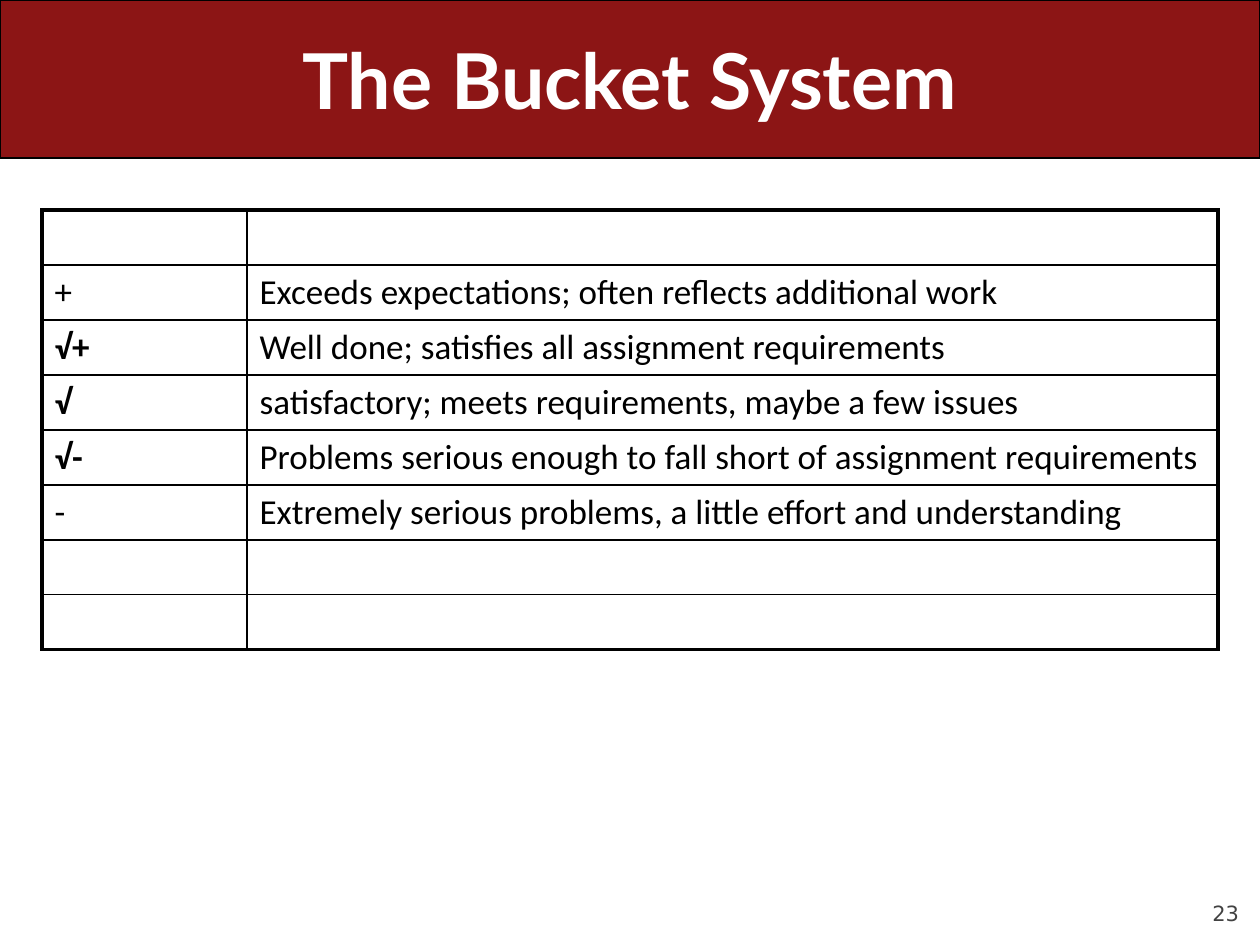
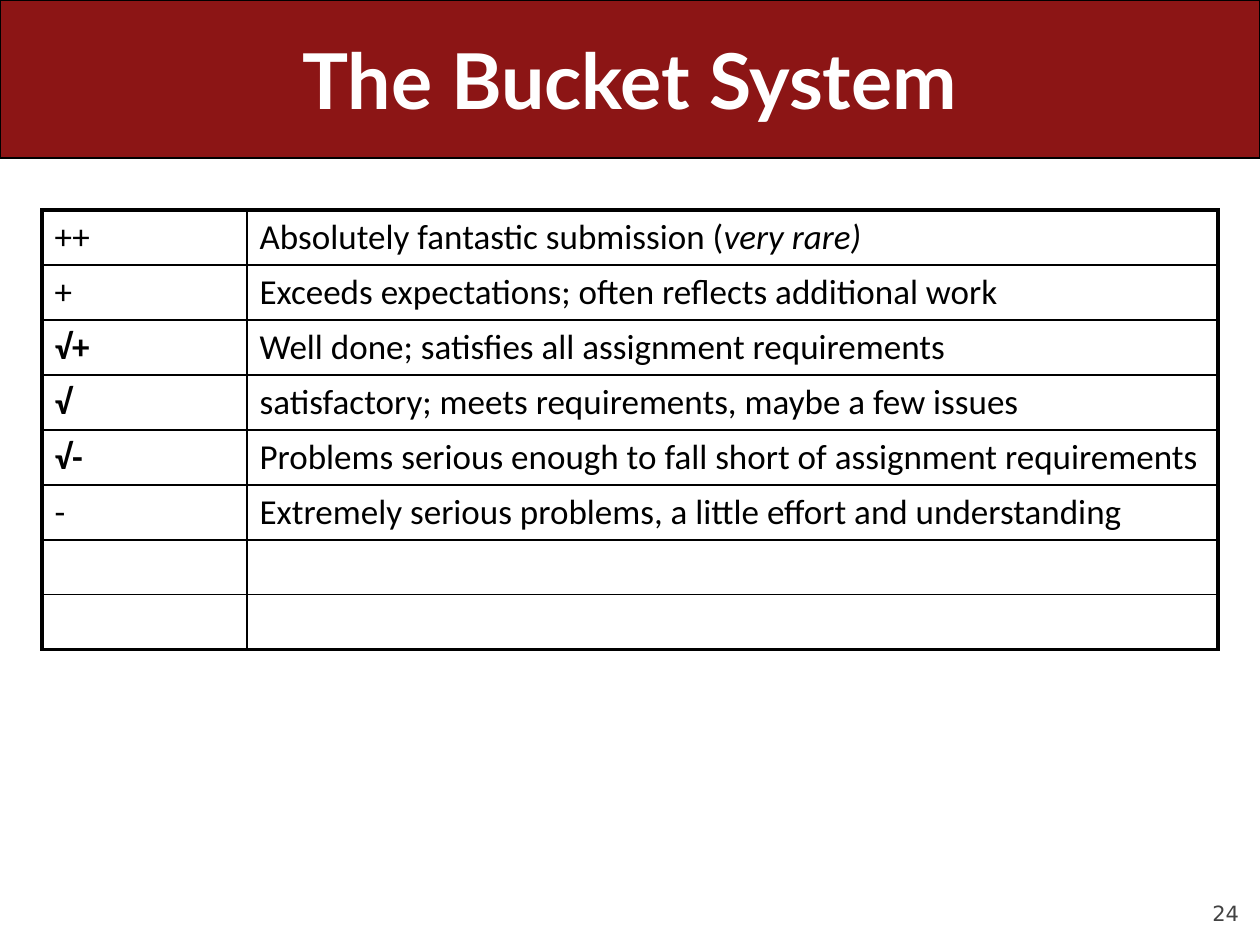
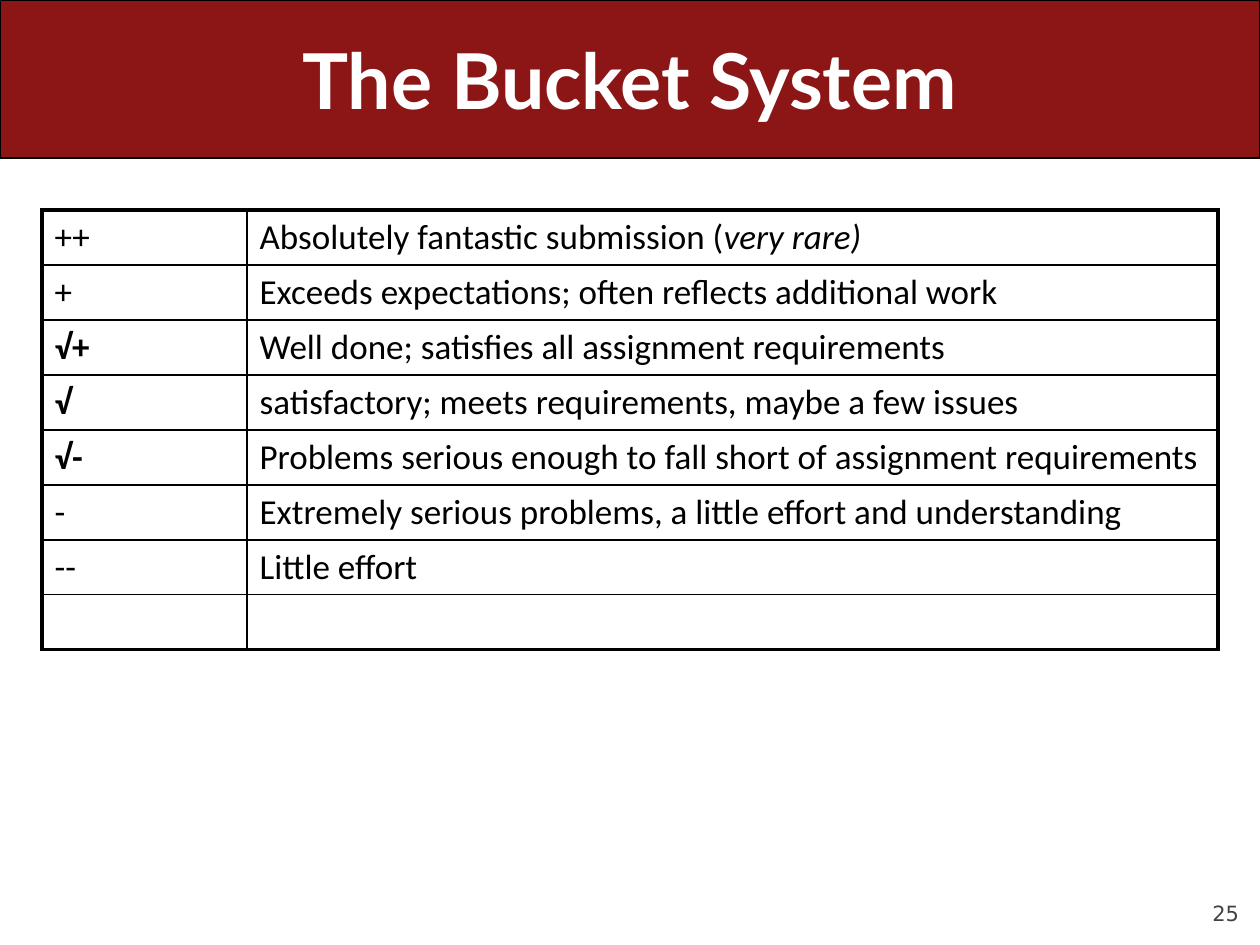
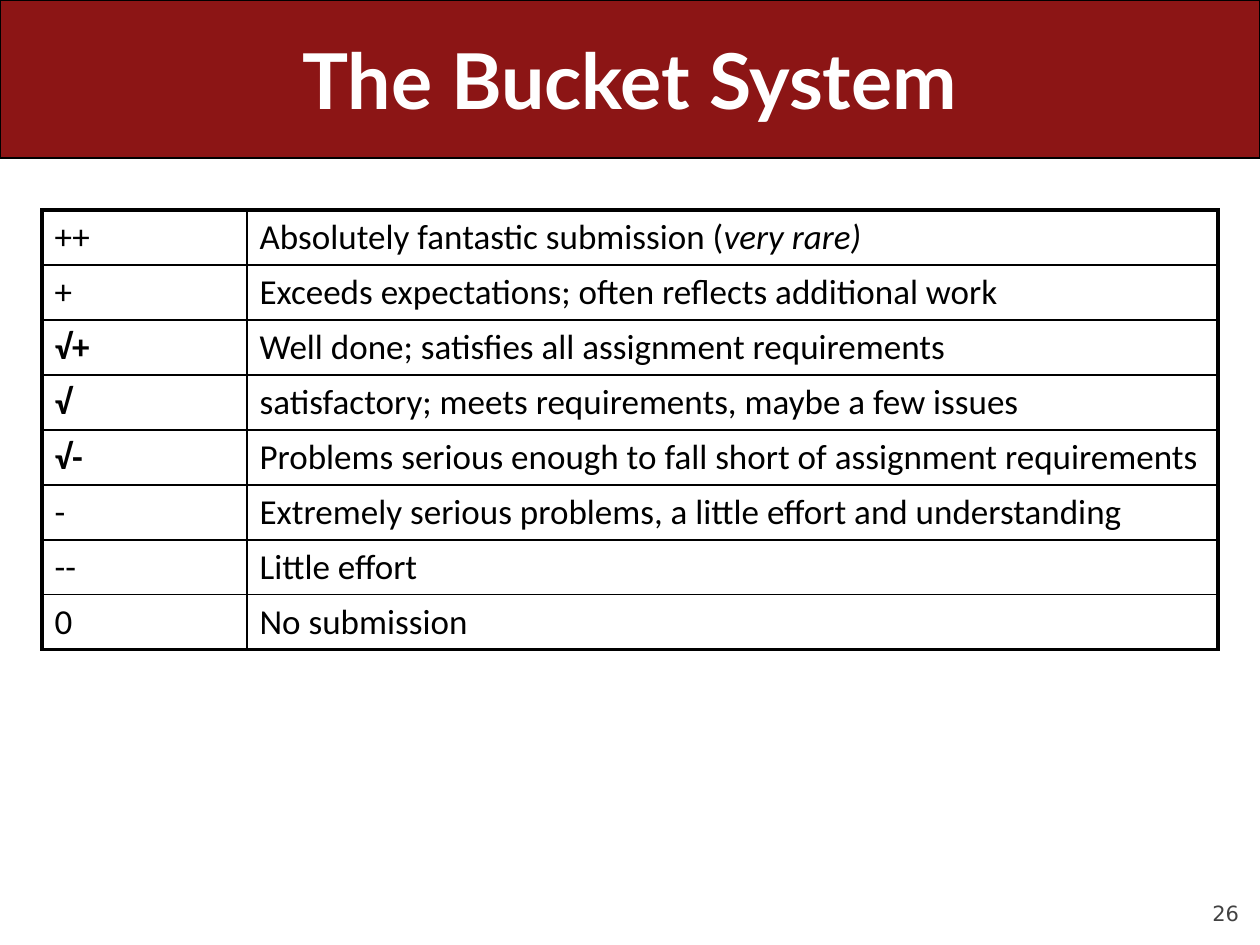
from dataclasses import dataclass

from lxml.etree import SubElement
from pptx import Presentation
from pptx.dml.color import RGBColor
from pptx.enum.shapes import MSO_SHAPE
from pptx.enum.text import MSO_ANCHOR, PP_ALIGN
from pptx.oxml import parse_xml
from pptx.oxml.ns import nsdecls, qn
from pptx.util import Emu, Pt


@dataclass(frozen=True)
class Theme:
    red: str = "8C1515"
    white: str = "FFFFFF"
    black: str = "000000"
    gray: str = "424242"
    head: str = "Lato"
    body: str = "Calibri"
    foot: str = "DejaVu Sans"
    head_pt: int = 44
    body_pt: int = 20
    foot_pt: int = 12
    band_ln: float = 0.75
    thin: float = 1
    thick: float = 2.25


THEME = Theme()
DPI = 126
WIDE, HIGH = 1260, 945

# Page regions: left, top, width, height
BAND = (0, 0, WIDE, 158)
TITLE = (63, 0, 1134, 158)
FOOT = (1134, 876, 105, 50)
GRID = (42, 210, 1176, 440)
MARK_W = 205

# Mark, meaning, and the italic tail of the meaning
BUCKETS = [
    ("++", "Absolutely fantastic submission (", "very rare)"),
    ("+", "Exceeds expectations; often reflects additional work", ""),
    ("√+", "Well done; satisfies all assignment requirements", ""),
    ("√", "satisfactory; meets requirements, maybe a few issues", ""),
    ("√-", "Problems serious enough to fall short of assignment requirements", ""),
    ("-", "Extremely serious problems, a little effort and understanding", ""),
    ("--", "Little effort", ""),
    ("0", "No submission", ""),
]

# Page number, first and last bucket shown
PAGES = [(23, 1, 5), (24, 0, 5), (25, 0, 6), (26, 0, 7)]


def px(count):
    return Emu(round(count * 914400 / DPI))


def place(box):
    return [px(side) for side in box]


def style(run, face, size, color, bold=False, italic=False):
    font = run.font
    font.name, font.size = face, Pt(size)
    font.bold, font.italic = bold, italic
    font.color.rgb = RGBColor.from_string(color)


def add_label(slide, box, text, align, anchor, *look):
    frame = slide.shapes.add_textbox(*place(box)).text_frame
    frame.word_wrap = True
    frame.vertical_anchor = anchor
    frame.text = text
    para = frame.paragraphs[0]
    para.alignment = align
    style(para.runs[0], *look)
    return frame


def add_head(slide, text):
    # Band
    band = slide.shapes.add_shape(MSO_SHAPE.ROUNDED_RECTANGLE, *place(BAND))
    band.adjustments[0] = 0
    band.shadow.inherit = False
    band.fill.solid()
    band.fill.fore_color.rgb = RGBColor.from_string(THEME.red)
    band.line.color.rgb = RGBColor.from_string(THEME.black)
    band.line.width = Pt(THEME.band_ln)
    # Title
    add_label(slide, TITLE, text, PP_ALIGN.CENTER, MSO_ANCHOR.MIDDLE,
              THEME.head, THEME.head_pt, THEME.white, True)


def add_foot(slide, number):
    frame = add_label(slide, FOOT, str(number), PP_ALIGN.RIGHT,
                      MSO_ANCHOR.BOTTOM, THEME.foot, THEME.foot_pt, THEME.gray)
    frame.margin_left = frame.margin_right = 0
    frame.margin_top = frame.margin_bottom = 0


def set_edges(cell, outer):
    props = cell._tc.get_or_add_tcPr()
    for spot, side in enumerate("LRTB"):
        width = Pt(THEME.thick if side in outer else THEME.thin)
        edge = parse_xml(f'<a:ln{side} {nsdecls("a")} w="{width}"/>')
        fill = SubElement(edge, qn("a:solidFill"))
        SubElement(fill, qn("a:srgbClr"), val=THEME.black)
        props.insert(spot, edge)


def fill_cell(cell, text, tail, bold):
    cell.text_frame.text = text
    para = cell.text_frame.paragraphs[0]
    style(para.runs[0], THEME.body, THEME.body_pt, THEME.black, bold)
    if tail:
        run = para.add_run()
        run.text = tail
        style(run, THEME.body, THEME.body_pt, THEME.black, italic=True)


def add_grid(slide, box, first, last):
    count = len(BUCKETS)
    table = slide.shapes.add_table(count, 2, *place(box)).table
    table.first_row = table.horz_banding = False
    table.columns[0].width = px(MARK_W)
    table.columns[1].width = px(box[2] - MARK_W)
    for row, (mark, text, tail) in enumerate(BUCKETS):
        table.rows[row].height = px(box[3] // count)
        ends = "T" * (row == 0) + "B" * (row == count - 1)
        for col, side in enumerate("LR"):
            cell = table.cell(row, col)
            cell.fill.background()
            set_edges(cell, side + ends)
        if first <= row <= last:
            fill_cell(table.cell(row, 0), mark, "", "√" in mark)
            fill_cell(table.cell(row, 1), text, tail, False)


def add_page(deck, number, first, last):
    slide = deck.slides.add_slide(deck.slide_layouts[6])
    add_foot(slide, number)
    add_head(slide, "The Bucket System")
    add_grid(slide, GRID, first, last)


def main():
    deck = Presentation()
    deck.slide_width, deck.slide_height = px(WIDE), px(HIGH)
    for page in PAGES:
        add_page(deck, *page)
    deck.save("out.pptx")


if __name__ == "__main__":
    main()
